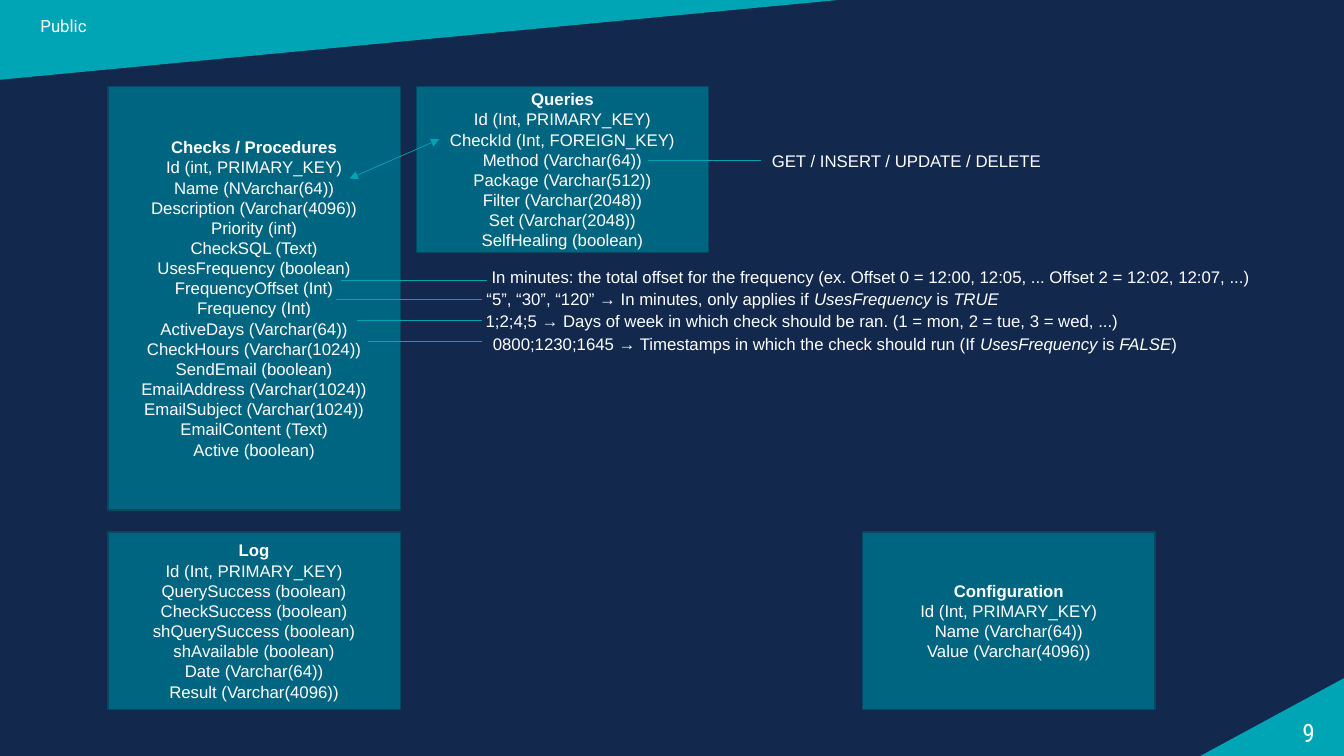
from dataclasses import dataclass

from lxml.etree import SubElement
from pptx import Presentation
from pptx.dml.color import RGBColor
from pptx.enum.shapes import MSO_CONNECTOR, MSO_SHAPE
from pptx.enum.text import MSO_ANCHOR, MSO_AUTO_SIZE, PP_ALIGN
from pptx.oxml.ns import qn
from pptx.util import Cm, Pt


@dataclass(frozen=True)
class Theme:
    """Colours, fonts and type sizes of the slide."""

    background: RGBColor = RGBColor.from_string("12284C")
    accent: RGBColor = RGBColor.from_string("00A5B5")
    entity: RGBColor = RGBColor.from_string("006580")
    border: RGBColor = RGBColor.from_string("004B5F")
    text: RGBColor = RGBColor.from_string("FFFFFF")
    body_font: str = "Arial"
    label_font: str = "Roboto"
    number_font: str = "Roboto Condensed"
    body_size: int = 12
    number_size: int = 18


THEME = Theme()
BOX_WIDTH = 7.37
LEFT_COLUMN, TOP_ROW, BOTTOM_ROW = 2.72, 2.18, 13.41
BOTTOM_HEIGHT = 4.47

ENTITIES = [
    (LEFT_COLUMN, TOP_ROW, 10.67, "Checks / Procedures", [
        "Id (int, PRIMARY_KEY)", "Name (NVarchar(64))",
        "Description (Varchar(4096))", "Priority (int)", "CheckSQL (Text)",
        "UsesFrequency (boolean)", "FrequencyOffset (Int)", "Frequency (Int)",
        "ActiveDays (Varchar(64))", "CheckHours (Varchar(1024))",
        "SendEmail (boolean)", "EmailAddress (Varchar(1024))",
        "EmailSubject (Varchar(1024))", "EmailContent (Text)",
        "Active (boolean)"]),
    (21.74, BOTTOM_ROW, BOTTOM_HEIGHT, "Configuration", [
        "Id (Int, PRIMARY_KEY)", "Name (Varchar(64))",
        "Value (Varchar(4096))"]),
    (LEFT_COLUMN, BOTTOM_ROW, BOTTOM_HEIGHT, "Log", [
        "Id (Int, PRIMARY_KEY)", "QuerySuccess (boolean)",
        "CheckSuccess (boolean)", "shQuerySuccess (boolean)",
        "shAvailable (boolean)", "Date (Varchar(64))",
        "Result (Varchar(4096))"]),
    (10.49, TOP_ROW, 4.19, "Queries", [
        "Id (Int, PRIMARY_KEY)", "CheckId (Int, FOREIGN_KEY)",
        "Method (Varchar(64))", "Package (Varchar(512))",
        "Filter (Varchar(2048))", "Set (Varchar(2048))",
        "SelfHealing (boolean)"]),
]

NOTES = [
    (12.01, 7.14, 13.69, [
        ("“5”, “30”, “120” → In minutes, only applies if ", False),
        ("UsesFrequency", True), (" is ", False), ("TRUE", True)]),
    (11.99, 7.7, 17.09, [
        ("1;2;4;5 → Days of week in which check should be ran. "
         "(1 = mon, 2 = tue, 3 = wed, ...)", False)]),
    (12.17, 8.28, 18.11, [
        ("0800;1230;1645 → Timestamps in which the check should run (If ",
         False),
        ("UsesFrequency", True), (" is ", False), ("FALSE", True),
        (")", False)]),
    (19.2, 3.68, 7.39, [("GET / INSERT / UPDATE / DELETE", False)]),
    (12.14, 6.6, 20.32, [
        ("In minutes: the total offset for the frequency (ex. Offset 0 = "
         "12:00, 12:05, ... Offset 2 = 12:02, 12:07, ...)", False)]),
]

LEADERS = [
    (8.46, 12.14, 7.54),
    (8.99, 12.14, 8.08),
    (9.27, 12.14, 8.59),
    (16.33, 19.18, 4.04),
    (8.59, 12.27, 7.06),
]


def add_run(paragraph, text, font=THEME.body_font, size=THEME.body_size,
            bold=False, italic=False):
    """Append one styled run to a paragraph."""
    run = paragraph.add_run()
    run.text = text
    run.font.name = font
    run.font.size = Pt(size)
    run.font.bold = bold
    run.font.italic = italic
    run.font.color.rgb = THEME.text


def fill_accent(shape):
    """Give a decorative shape a flat accent fill."""
    shape.shadow.inherit = False
    shape.fill.solid()
    shape.fill.fore_color.rgb = THEME.accent
    shape.line.fill.background()


def add_corners(slide):
    """Draw the top banner and the bottom corner triangle."""
    corner = slide.shapes.add_shape(MSO_SHAPE.ISOSCELES_TRIANGLE, Cm(30.25),
                                    Cm(17.09), Cm(3.62), Cm(1.96))
    corner.adjustments[0] = 1
    fill_accent(corner)
    builder = slide.shapes.build_freeform(0, 0)
    builder.add_line_segments([(Cm(21.13), 0), (0, Cm(2.01))], close=True)
    fill_accent(builder.convert_to_shape())


def add_label(slide, left, top, width, text, font, size, alignment, inset):
    """Add a vertically centred header or footer label."""
    box = slide.shapes.add_textbox(Cm(left), Cm(top), Cm(width), Cm(0.69))
    frame = box.text_frame
    frame.word_wrap = True
    frame.vertical_anchor = MSO_ANCHOR.MIDDLE
    frame.margin_left = Cm(inset)
    paragraph = frame.paragraphs[0]
    paragraph.alignment = alignment
    add_run(paragraph, text, font, size)


def add_entity(slide, left, top, height, title, fields):
    """Draw a database table box with a bold title and its fields."""
    shape = slide.shapes.add_shape(MSO_SHAPE.RECTANGLE, Cm(left), Cm(top),
                                   Cm(BOX_WIDTH), Cm(height))
    shape.shadow.inherit = False
    shape.fill.solid()
    shape.fill.fore_color.rgb = THEME.entity
    shape.line.color.rgb = THEME.border
    shape.line.width = Pt(1)
    frame = shape.text_frame
    frame.word_wrap = True
    frame.vertical_anchor = MSO_ANCHOR.MIDDLE
    for index, text in enumerate([title, *fields]):
        paragraph = frame.add_paragraph() if index else frame.paragraphs[0]
        paragraph.alignment = PP_ALIGN.CENTER
        add_run(paragraph, text, bold=index == 0)


def add_note(slide, left, top, width, runs):
    """Add a one-line explanation made of plain and italic runs."""
    box = slide.shapes.add_textbox(Cm(left), Cm(top), Cm(width), Cm(0.76))
    frame = box.text_frame
    frame.word_wrap = False
    frame.auto_size = MSO_AUTO_SIZE.SHAPE_TO_FIT_TEXT
    for text, italic in runs:
        add_run(frame.paragraphs[0], text, italic=italic)


def add_line(slide, start, end, arrows=False):
    """Draw a thin accent line, optionally with arrowheads at both ends."""
    connector = slide.shapes.add_connector(
        MSO_CONNECTOR.STRAIGHT, *map(Cm, start), *map(Cm, end))
    connector.line.color.rgb = THEME.accent
    connector.line.width = Pt(0.5)
    properties = connector._element.spPr
    SubElement(properties, qn("a:effectLst"))
    if arrows:
        for tag in ("a:headEnd", "a:tailEnd"):
            SubElement(properties.find(qn("a:ln")), qn(tag), type="triangle")


def main():
    """Build the database schema slide and save it."""
    presentation = Presentation()
    presentation.slide_width = Cm(33.87)
    presentation.slide_height = Cm(19.05)
    slide = presentation.slides.add_slide(presentation.slide_layouts[6])
    slide.background.fill.solid()
    slide.background.fill.fore_color.rgb = THEME.background
    add_corners(slide)
    add_label(slide, 32.11, 18.11, 1.73, "9", THEME.number_font,
              THEME.number_size, PP_ALIGN.CENTER, 0.25)
    add_label(slide, 0.03, 0.3, 11.43, "Public", THEME.label_font,
              THEME.body_size, PP_ALIGN.LEFT, 0.99)
    for entity in ENTITIES:
        add_entity(slide, *entity)
    for start, end, height in LEADERS:
        add_line(slide, (start, height), (end, height))
    add_line(slide, (8.81, 4.5), (11.07, 3.51), arrows=True)
    for note in NOTES:
        add_note(slide, *note)
    presentation.save("out.pptx")


main()
